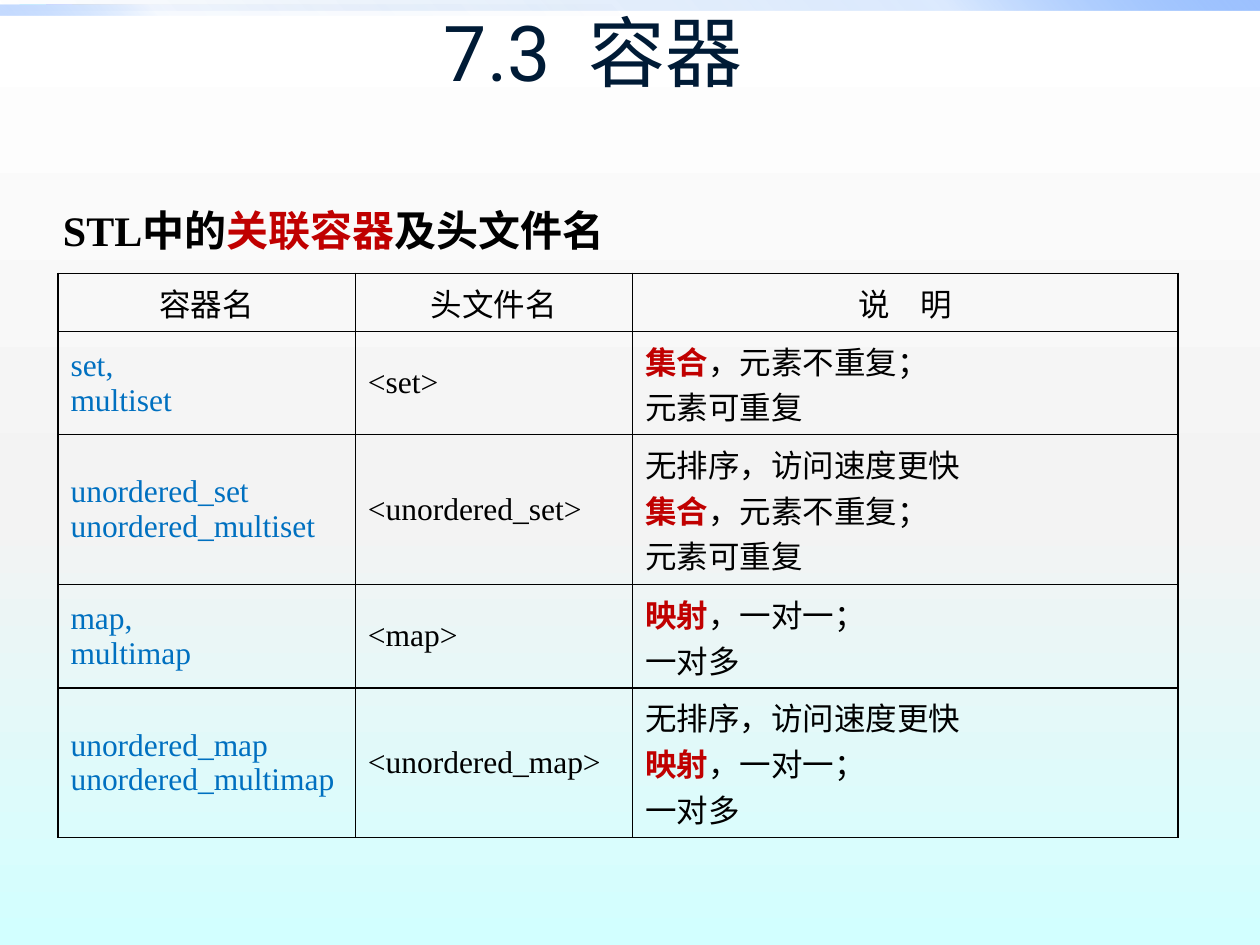
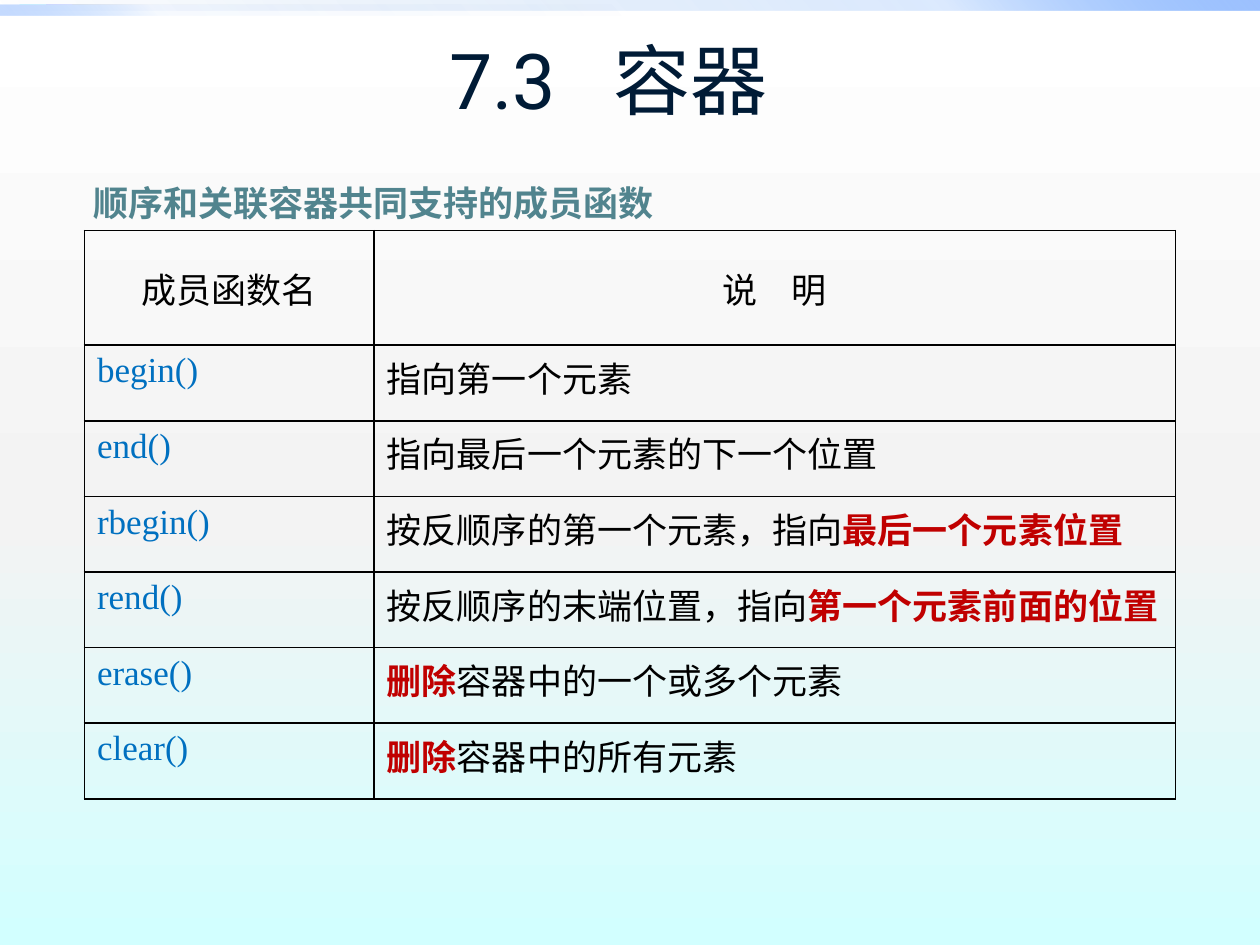
from dataclasses import dataclass

from lxml import etree
from pptx import Presentation
from pptx.dml.color import RGBColor
from pptx.enum.shapes import MSO_SHAPE
from pptx.enum.text import MSO_ANCHOR, PP_ALIGN
from pptx.oxml.ns import qn
from pptx.util import Inches, Pt

RECT = MSO_SHAPE.RECTANGLE
TOP, MIDDLE, BOTTOM = MSO_ANCHOR.TOP, MSO_ANCHOR.MIDDLE, MSO_ANCHOR.BOTTOM
LEFT, CENTER = PP_ALIGN.LEFT, PP_ALIGN.CENTER


@dataclass(frozen=True)
class Theme:
    head: str = "Roboto"
    body: str = "Times New Roman"
    navy: str = "001B36"
    black: str = "000000"
    blue: str = "0070C0"
    red: str = "C00000"
    teal: str = "51848E"
    title: int = 44
    large: int = 24
    medium: int = 20
    small: int = 18
    rule: int = 1
    indent: float = 0.38
    # Stops: position, colour, opacity (all in percent but the colour)
    back: tuple = ((0, "FFFFFF", 100), (55, "F3F3F3", 100), (100, "D2FFFF", 100))
    wide: tuple = ((0, "0058B7", 0), (75, "4F95FF", 20), (100, "9EC2FF", 100))
    half: tuple = ((0, "0058B7", 0), (75, "4F95FF", 5), (100, "9EC2FF", 60))


T = Theme()


def blend(fill, host, stops, angle):
    """Give fill, which lives inside the element host, a linear gradient."""
    fill.gradient()
    fill.gradient_angle = angle
    items = host.find(".//" + qn("a:gsLst"))
    for item in list(items):
        items.remove(item)
    for place, color, alpha in stops:
        stop = etree.SubElement(items, qn("a:gs"), pos=str(place * 1000))
        tint = etree.SubElement(stop, qn("a:srgbClr"), val=color)
        if alpha < 100:
            etree.SubElement(tint, qn("a:alpha"), val=str(alpha * 1000))


def add_band(slide, box, stops, angle):
    band = slide.shapes.add_shape(RECT, *map(Inches, box))
    band.shadow.inherit = False
    band.line.fill.background()
    blend(band.fill, band._element, stops, angle)


def add_page(deck):
    slide = deck.slides.add_slide(deck.slide_layouts[6])
    blend(slide.background.fill, slide._element, T.back, 270)
    add_band(slide, (0, 0, 10, 0.08), T.wide, 45)
    add_band(slide, (0, 0.04, 5, 0.08), T.half, 225)
    return slide


def add_run(para, text, size, color, bold=False, font=T.body, gap=0):
    """Add one run; gap is extra letter spacing in points."""
    run = para.add_run()
    run.text = text
    run.font.name, run.font.size, run.font.bold = font, Pt(size), bold
    run.font.color.rgb = RGBColor.from_string(color)
    if gap:
        run._r.get_or_add_rPr().set("spc", str(round(gap * 100)))


def add_box(slide, box, anchor, left=0.1, foot=0.1):
    """Add a wrapping text box and return its first paragraph."""
    frame = slide.shapes.add_textbox(*map(Inches, box)).text_frame
    frame.word_wrap = True
    frame.vertical_anchor = anchor
    frame.margin_left, frame.margin_bottom = Inches(left), Inches(foot)
    return frame.paragraphs[0]


def add_title(slide, box, anchor, foot, gap):
    para = add_box(slide, box, anchor, foot=foot)
    para.alignment = CENTER
    for text, extra in (("7.3", 0), (" ", gap), ("容器", 0)):
        add_run(para, text, T.title, T.navy, font=T.head, gap=extra)


def add_lead(slide, box, left, size, parts):
    para = add_box(slide, box, BOTTOM, left)
    for text, color in parts:
        add_run(para, text, size, color, bold=True)


def add_edges(cell):
    props = cell._tc.get_or_add_tcPr()
    for spot, side in enumerate(("lnL", "lnR", "lnT", "lnB")):
        edge = etree.Element(qn("a:" + side), w=str(Pt(T.rule)))
        fill = etree.SubElement(edge, qn("a:solidFill"))
        etree.SubElement(fill, qn("a:srgbClr"), val=T.black)
        props.insert(spot, edge)


def fill_cell(cell, lines, size, color, align, anchor):
    """Write lines into cell; text between stars is bold red."""
    cell.fill.background()
    add_edges(cell)
    cell.vertical_anchor = anchor
    frame = cell.text_frame
    for spot, line in enumerate(lines.split("\n")):
        para = frame.add_paragraph() if spot else frame.paragraphs[0]
        para.alignment = align
        props = para._p.get_or_add_pPr()
        props.set("marL", str(Inches(T.indent)))
        props.set("indent", str(-Inches(T.indent)))
        for turn, text in enumerate(line.split("*")):
            key = turn % 2 == 1
            if text == "说 明":
                for part, gap in (("说", 0), (" ", size * 0.75), ("明", 0)):
                    add_run(para, part, size, color, gap=gap)
            elif text:
                add_run(para, text, size, T.red if key else color, key)


def add_grid(slide, at, widths, heights, rows, size, anchor):
    """Add a ruled table with a centred head row and a blue first column."""
    area = (*at, sum(widths), sum(heights))
    grid = slide.shapes.add_table(len(rows), len(widths), *map(Inches, area)).table
    grid.first_row = grid.horz_banding = False
    for col, width in zip(grid.columns, widths):
        col.width = Inches(width)
    for row, height in zip(grid.rows, heights):
        row.height = Inches(height)
    for r, row in enumerate(rows):
        for c, lines in enumerate(row):
            color = T.blue if r and not c else T.black
            fill_cell(grid.cell(r, c), lines, size, color,
                      LEFT if r else CENTER, anchor if r else MIDDLE)


def add_types(deck):
    slide = add_page(deck)
    add_title(slide, (0.21, -0.38, 9, 1.25), BOTTOM, 0.1, 10.9)
    sets = "*集合*，元素不重复；\n元素可重复"
    maps = "*映射*，一对一；\n一对多"
    fast = "无排序，访问速度更快\n"
    rows = [
        ("容器名", "头文件名", "说 明"),
        ("set,\nmultiset", "<set>", sets),
        ("unordered_set\nunordered_multiset", "<unordered_set>", fast + sets),
        ("map,\nmultimap", "<map>", maps),
        ("unordered_map\nunordered_multimap", "<unordered_map>", fast + maps),
    ]
    add_grid(slide, (0.46, 2.17), (2.36, 2.2, 4.33),
             (0.46, 0.82, 1.19, 0.82, 1.19), rows, T.small, MIDDLE)
    add_lead(slide, (0.23, 1.33, 9.14, 0.79), 0.27, T.large,
             [("STL中的", T.black), ("关联容器", T.red), ("及头文件名", T.black)])


def add_calls(deck):
    slide = add_page(deck)
    add_title(slide, (0.33, 0, 9, 1.25), MIDDLE, 0.05, 21.8)
    rows = [
        ("成员函数名", "说 明"),
        ("begin()", "指向第一个元素"),
        ("end()", "指向最后一个元素的下一个位置"),
        ("rbegin()", "按反顺序的第一个元素，指向*最后一个元素位置*"),
        ("rend()", "按反顺序的末端位置，指向*第一个元素前面的位置*"),
        ("erase()", "*删除*容器中的一个或多个元素"),
        ("clear()", "*删除*容器中的所有元素"),
    ]
    add_grid(slide, (0.67, 1.83), (2.3, 6.36), [0.91] + [0.6] * 6,
             rows, T.medium, TOP)
    add_lead(slide, (0.58, 1.08, 8.5, 0.79), 0.16, T.medium,
             [("顺序和关联容器共同支持的成员函数", T.teal)])


def main():
    deck = Presentation()
    deck.slide_width, deck.slide_height = Inches(10), Inches(7.5)
    add_types(deck)
    add_calls(deck)
    deck.save("out.pptx")


if __name__ == "__main__":
    main()
